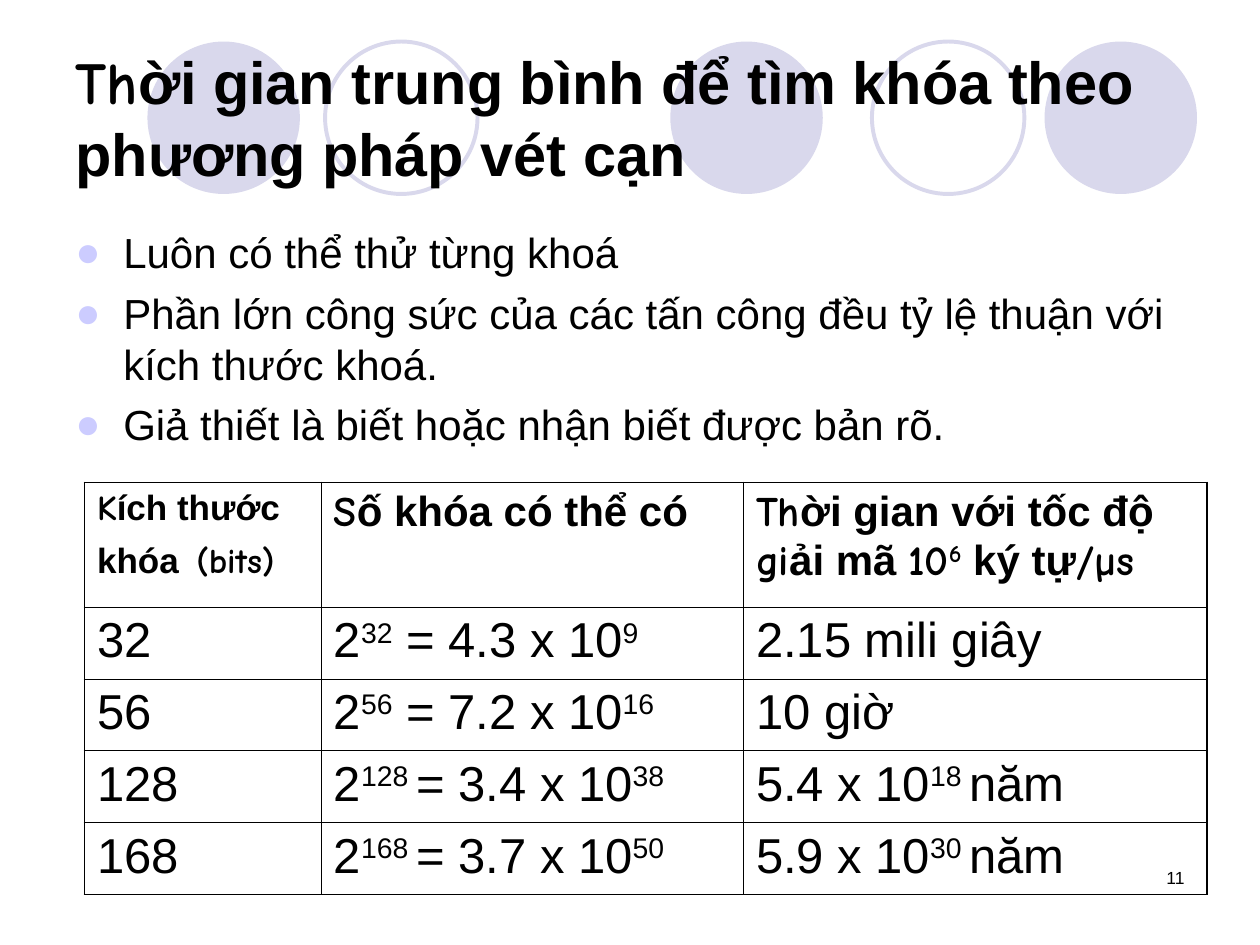
import pptx
import pptx.dml.color
import pptx.enum.shapes
import pptx.enum.text
import pptx.oxml
import pptx.oxml.ns
import pptx.util
from pptx.util import Inches

LILAC, BULLET, BLACK = "D9D8EC", "CCCCFF", "000000"


def color(value):
    return pptx.dml.color.RGBColor.from_string(value)


def add_xml(parent, tag, **attributes):
    child = pptx.oxml.parse_xml(f"<{tag} {pptx.oxml.ns.nsdecls('a')}/>")
    for name, value in attributes.items():
        child.set(name, str(value))
    parent.append(child)
    return child


class Deck:
    main_font, accent_font = "Arial", "Comic Neue"

    def __init__(self, width, height):
        self.file = pptx.Presentation()
        self.file.slide_width, self.file.slide_height = Inches(width), Inches(height)
        self.slide = self.file.slides.add_slide(self.file.slide_layouts[5])

    def rich_text(self, paragraph, text, size, bold=False):
        """*...* marks the accent font, ^...^ a superscript."""
        paragraph.font.name = self.main_font
        paragraph.font.size = pptx.util.Pt(size)
        paragraph.font.bold = bold
        paragraph.font.color.rgb = color(BLACK)
        for i, part in enumerate(text.split("*")):
            for j, piece in enumerate(part.split("^")):
                if not piece:
                    continue
                run = paragraph.add_run()
                run.text = piece
                if i % 2:
                    run.font.name = self.accent_font
                if j % 2:
                    run.font._element.set("baseline", "30000")

    def circle(self, left, top, diameter, filled):
        shape = self.slide.shapes.add_shape(
            pptx.enum.shapes.MSO_SHAPE.OVAL, Inches(left), Inches(top),
            Inches(diameter), Inches(diameter))
        shape.shadow.inherit = False
        if filled:
            shape.fill.solid()
            shape.fill.fore_color.rgb = color(LILAC)
            shape.line.fill.background()
        else:
            shape.fill.background()
            shape.line.color.rgb = color(LILAC)
            shape.line.width = pptx.util.Pt(2.25)

    def title(self, text, left, top, width, height):
        heading = self.slide.shapes.title
        heading.left, heading.top = Inches(left), Inches(top)
        heading.width, heading.height = Inches(width), Inches(height)
        frame = heading.text_frame
        frame.auto_size = pptx.enum.text.MSO_AUTO_SIZE.NONE
        frame.vertical_anchor = pptx.enum.text.MSO_ANCHOR.MIDDLE
        frame.paragraphs[0].alignment = pptx.enum.text.PP_ALIGN.LEFT
        self.rich_text(frame.paragraphs[0], text, 34, bold=True)
        # Bring the heading in front of the circles
        self.slide.shapes._spTree.append(heading._element)

    def text_box(self, left, top, width, height):
        box = self.slide.shapes.add_textbox(
            Inches(left), Inches(top), Inches(width), Inches(height))
        box.text_frame.word_wrap = True
        return box.text_frame

    def bullets(self, items, left, top, width, height):
        frame = self.text_box(left, top, width, height)
        for index, item in enumerate(items):
            paragraph = frame.add_paragraph() if index else frame.paragraphs[0]
            if index:
                paragraph.space_before = pptx.util.Pt(6)
            properties = paragraph._p.get_or_add_pPr()
            properties.set("marL", str(Inches(0.38)))
            properties.set("indent", str(-Inches(0.38)))
            bullet_color = add_xml(properties, "a:buClr")
            add_xml(bullet_color, "a:srgbClr", val=BULLET)
            add_xml(properties, "a:buFont", typeface=self.main_font)
            add_xml(properties, "a:buChar", char="●")
            self.rich_text(paragraph, item, 24)

    def page_number(self, text, left, top, width, height):
        paragraph = self.text_box(left, top, width, height).paragraphs[0]
        paragraph.alignment = pptx.enum.text.PP_ALIGN.RIGHT
        self.rich_text(paragraph, text, 10)

    def border(self, cell, side, points):
        line = add_xml(cell._tc.get_or_add_tcPr(), f"a:ln{side}",
                       w=pptx.util.Pt(points))
        add_xml(add_xml(line, "a:solidFill"), "a:srgbClr", val=BLACK)

    def table(self, rows, left, top, widths, heights, header_sizes, body_size):
        grid = self.slide.shapes.add_table(
            len(rows), len(widths), Inches(left), Inches(top),
            Inches(sum(widths)), Inches(sum(heights))).table
        for column, width in zip(grid.columns, widths):
            column.width = Inches(width)
        last_row, last_column = len(rows) - 1, len(widths) - 1
        for r, texts in enumerate(rows):
            grid.rows[r].height = Inches(heights[r])
            for c, text in enumerate(texts):
                cell = grid.cell(r, c)
                size = body_size if r else header_sizes[c]
                self.rich_text(cell.text_frame.paragraphs[0], text, size, bold=r == 0)
                # The outer frame is heavier than the inner rules
                outer = {"L": c == 0, "R": c == last_column,
                         "T": r == 0, "B": r == last_row}
                for side, heavy in outer.items():
                    self.border(cell, side, 1.08 if heavy else 0.45)
                cell.fill.background()
        return grid


def main():
    deck = Deck(10, 7.5)

    # Row of circles behind the heading
    for left, filled in [(1.17, True), (2.58, False), (5.32, True),
                         (6.92, False), (8.29, True)]:
        deck.circle(left, 0.33, 1.21, filled)

    # Page number, heading and points
    deck.page_number("11", 7.17, 6.83, 2.33, 0.5)
    deck.title("*Th*ời gian trung bình để tìm khóa theo phương pháp vét cạn",
               0.5, 0.3, 9, 1.25)
    deck.bullets([
        "Luôn có thể thử từng khoá",
        "Phần lớn công sức của các tấn công đều tỷ lệ thuận với kích thước khoá.",
        "Giả thiết là biết hoặc nhận biết được bản rõ.",
    ], 0.5, 1.75, 8.92, 1.92)

    # Key sizes and search times
    key_times = deck.table([
        ["*K*ích thước khóa* **(bits)*", "*S*ố khóa có thể có",
         "*Th*ời gian với tốc độ *gi*ải mã *10^6^* ký tự*/µs*"],
        ["32", "2^32^ = 4.3 x 10^9^", "2.15 mili giây"],
        ["56", "2^56^ = 7.2 x 10^16^", "10 giờ"],
        ["128", "2^128 ^= 3.4 x 10^38^", "5.4 x 10^18 ^năm"],
        ["168", "2^168 ^= 3.7 x 10^50^", "5.9 x 10^30 ^năm"],
    ], 0.67, 3.83, [1.88, 3.35, 3.68], [0.99] + [0.57] * 4, [20, 24, 24], 28)
    # Wide gap before the unit
    gap = key_times.cell(0, 0).text_frame.paragraphs[0].runs[2]
    gap.font.size = pptx.util.Pt(28)

    deck.file.save("out.pptx")


if __name__ == "__main__":
    main()
